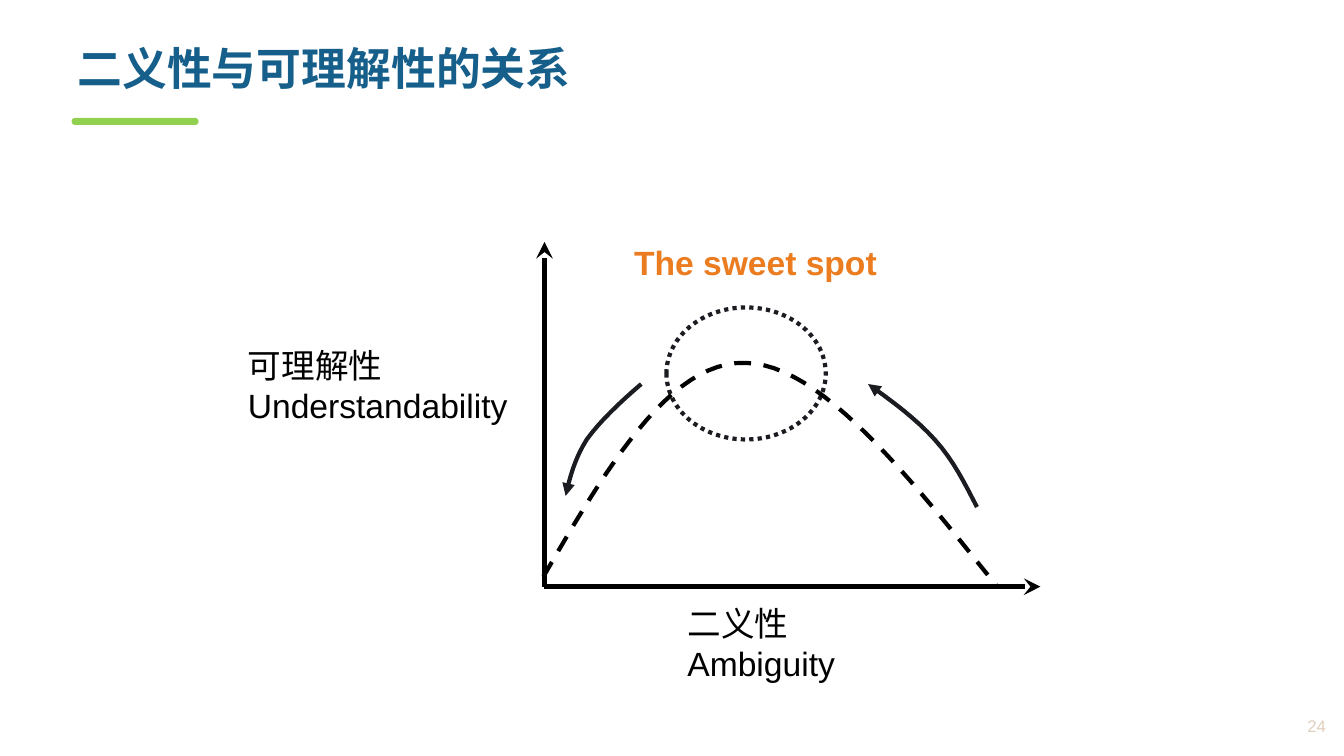
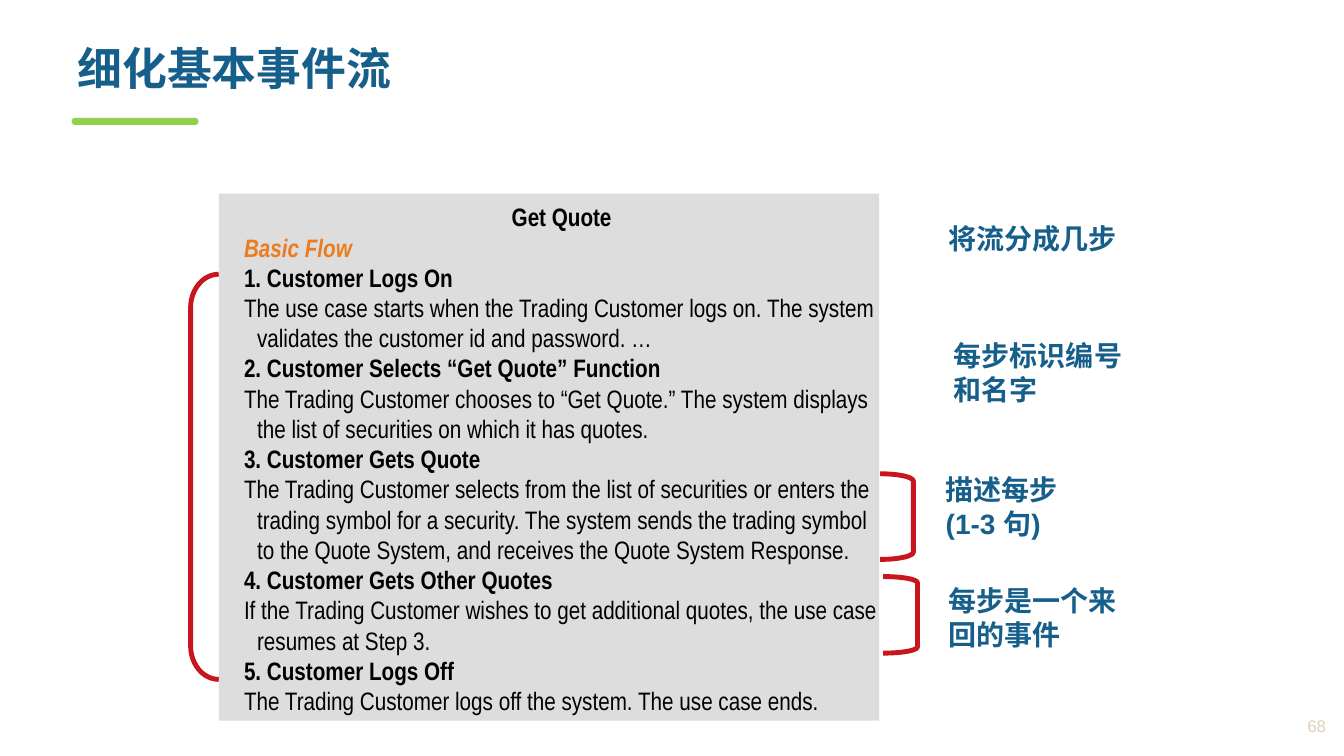
import pptx
import pptx.dml.color
import pptx.enum.dml
import pptx.enum.lang
import pptx.enum.shapes
import pptx.enum.text
import pptx.oxml
import pptx.oxml.ns
import pptx.util

Inches = pptx.util.Inches
Pt = pptx.util.Pt
SHAPE = pptx.enum.shapes.MSO_SHAPE
DASH = pptx.enum.dml.MSO_LINE
ALIGN = pptx.enum.text.PP_ALIGN
ANCHOR = pptx.enum.text.MSO_ANCHOR
CHINESE = pptx.enum.lang.MSO_LANGUAGE_ID.SIMPLIFIED_CHINESE

BLUE, GREEN, ORANGE, RED = "175F8B", "92D050", "EB7C1F", "C8161E"
BLACK, INK, PANEL, PAGE = "000000", "1B1C21", "DDDDDD", "E0CFBD"


def color(value):
    return pptx.dml.color.RGBColor.from_string(value)


def apply(target, values):
    for name, value in values.items():
        setattr(target, name, value)


def bezier(start, *curves, steps=24):
    points = [start]
    for first, second, end in curves:
        origin = points[-1]
        for step in range(1, steps + 1):
            t = step / steps
            weights = ((1 - t) ** 3, 3 * t * (1 - t) ** 2, 3 * t * t * (1 - t), t ** 3)
            controls = (origin, first, second, end)
            points.append(tuple(sum(w * c[axis] for w, c in zip(weights, controls))
                                for axis in (0, 1)))
    return points


class Deck:
    """Holds the shared style and the slide being built."""

    styles = {
        "title": ({"name": "Noto Sans CJK SC", "size": Pt(32), "bold": True}, BLUE),
        "axis": ({"name": "Arial", "size": Pt(24)}, BLACK),
        "highlight": ({"name": "Arial", "size": Pt(24), "bold": True}, ORANGE),
        "note": ({"name": "Arial", "size": Pt(20), "bold": True}, BLUE),
        "page": ({"name": "Arial", "size": Pt(12)}, PAGE),
        "body": ({"name": "Arial Narrow", "size": Pt(18)}, BLACK),
        "heading": ({"name": "Arial Narrow", "size": Pt(18), "bold": True}, BLACK),
        "flow": ({"name": "Arial Narrow", "size": Pt(18), "bold": True, "italic": True}, ORANGE),
    }

    def __init__(self):
        self.show = pptx.Presentation()
        apply(self.show, {"slide_width": Inches(13.33), "slide_height": Inches(7.5)})
        self.slide = None

    def start(self, title, page):
        self.slide = self.show.slides.add_slide(self.show.slide_layouts[6])
        self.shape(SHAPE.ROUND_2_SAME_RECTANGLE, (0.71, 1.17, 1.26, 0.07),
                   fill=GREEN, adjustments=(0.5, 0.5))
        self.text((0.67, 0.41, 12.19, 0.75), [title], "title", paragraph={"line_spacing": 0.9})
        self.text((12.12, 7.01, 1.13, 0.38), [page], "page",
                  paragraph={"alignment": ALIGN.RIGHT}, anchor=ANCHOR.MIDDLE)

    def add_words(self, paragraph, words, style):
        run = paragraph.add_run()
        run.text = words
        values, shade = self.styles[style]
        apply(run.font, values)
        run.font.language_id = CHINESE
        run.font.color.rgb = color(shade)

    def text(self, box, lines, style, inset=(0.1, 0.05), paragraph=None, anchor=ANCHOR.TOP):
        frame = self.slide.shapes.add_textbox(*map(Inches, box)).text_frame
        across, down = map(Inches, inset)
        apply(frame, {"word_wrap": True, "vertical_anchor": anchor,
                      "margin_left": across, "margin_right": across,
                      "margin_top": down, "margin_bottom": down})
        for index, words in enumerate(lines):
            line = frame.add_paragraph() if index else frame.paragraphs[0]
            apply(line, paragraph or {})
            self.add_words(line, words, style)

    def outline(self, line, shade, width, dash=None, arrow=None):
        line.color.rgb = color(shade)
        apply(line, {"width": Pt(width), "dash_style": dash})
        if arrow:
            end = pptx.oxml.parse_xml(
                f'<a:tailEnd {pptx.oxml.ns.nsdecls("a")} type="{arrow}"/>')
            line._get_or_add_ln().append(end)

    def shape(self, kind, box, fill=None, stroke=None, adjustments=()):
        form = self.slide.shapes.add_shape(kind, *map(Inches, box))
        for index, value in enumerate(adjustments):
            form.adjustments[index] = value
        return self.finish(form, fill, stroke)

    def finish(self, form, fill, stroke):
        form.shadow.inherit = False
        if fill:
            form.fill.solid()
            form.fill.fore_color.rgb = color(fill)
        else:
            form.fill.background()
        if stroke:
            self.outline(form.line, **stroke)
        else:
            form.line.fill.background()
        return form

    def arrow(self, start, end, stroke):
        straight = pptx.enum.shapes.MSO_CONNECTOR.STRAIGHT
        axis = self.slide.shapes.add_connector(straight, *map(Inches, start + end))
        self.outline(axis.line, **stroke)
        axis._element.spPr.append(
            pptx.oxml.parse_xml(f'<a:effectLst {pptx.oxml.ns.nsdecls("a")}/>'))

    def curve(self, points, stroke):
        first, *rest = [tuple(map(Inches, point)) for point in points]
        builder = self.slide.shapes.build_freeform(*first)
        builder.add_line_segments(rest, close=False)
        self.finish(builder.convert_to_shape(), None, stroke)

    def panel(self, box, entries):
        frame = self.shape(SHAPE.RECTANGLE, box, fill=PANEL).text_frame
        apply(frame, {"word_wrap": True, "vertical_anchor": ANCHOR.TOP,
                      "margin_left": 0, "margin_right": 0,
                      "margin_top": Inches(0.08), "margin_bottom": Inches(0.04)})
        for index, (words, style, alignment) in enumerate(entries):
            line = frame.add_paragraph() if index else frame.paragraphs[0]
            line.alignment = alignment
            hanging = line._p.get_or_add_pPr()
            hanging.set("marL", str(Inches(0.38)))
            hanging.set("indent", str(Inches(-0.13)))
            self.add_words(line, words, style)


def ambiguity(deck):
    deck.start("二义性与可理解性的关系", "24")
    origin = (5.4, 5.82)
    for tip in ((10.32, 5.82), (5.4, 2.4)):
        deck.arrow(origin, tip, {"shade": BLACK, "width": 4, "arrow": "stealth"})
    deck.text((2.36, 3.37, 2.9, 0.91), ["可理解性", "Understandability"], "axis")
    deck.text((6.72, 5.93, 1.8, 0.9), ["二义性", "Ambiguity"], "axis")
    deck.text((6.19, 2.35, 2.85, 0.51), ["The sweet spot"], "highlight")
    deck.shape(SHAPE.OVAL, (6.61, 3.05, 1.58, 1.31),
               stroke={"shade": INK, "width": 3, "dash": DASH.ROUND_DOT})
    deck.curve(bezier((5.39, 5.72), ((6.01, 4.65), (6.64, 3.58), (7.39, 3.6)),
                      ((8.14, 3.61), (9.01, 4.72), (9.89, 5.82))),
               {"shade": BLACK, "width": 3, "dash": DASH.DASH})
    trends = (
        bezier((9.69, 5.03), ((9.57, 4.8), (9.46, 4.57), (9.27, 4.36)),
               ((9.09, 4.16), (8.85, 3.98), (8.61, 3.81)), steps=8),
        bezier((6.36, 3.81), ((6.15, 3.99), (5.95, 4.18), (5.82, 4.36)),
               ((5.7, 4.55), (5.65, 4.74), (5.61, 4.92)), steps=8),
    )
    for trend in trends:
        deck.curve(trend, {"shade": INK, "width": 3, "arrow": "triangle"})


def basic_flow(deck):
    deck.start("细化基本事件流", "68")
    notes = (
        (9.29, 2.14, ["将流分成几步"]),
        (9.34, 3.3, ["每步标识编号", "和名字"]),
        (9.26, 4.63, ["描述每步", "(1-3 句)"]),
        (9.29, 5.73, ["每步是一个来", "回的事件"]),
    )
    for left, top, lines in notes:
        deck.text((left, top, 2.24, 0.12 + 0.33 * len(lines)), lines, "note", inset=(0.12, 0.06))
    steps = (
        ("Customer Logs On",
         "The use case starts when the Trading Customer logs on. "
         "The system validates the customer id and password. …"),
        ("Customer Selects “Get Quote” Function",
         "The Trading Customer chooses to “Get Quote.” "
         "The system displays the list of securities on which it has quotes."),
        ("Customer Gets Quote",
         "The Trading Customer selects from the list of securities or enters the trading symbol "
         "for a security. The system sends the trading symbol to the Quote System, "
         "and receives the Quote System Response."),
        ("Customer Gets Other Quotes",
         "If the Trading Customer wishes to get additional quotes, "
         "the use case resumes at Step 3."),
        ("Customer Logs Off",
         "The Trading Customer logs off the system. The use case ends."),
    )
    entries = [("Get Quote", "heading", ALIGN.CENTER), ("Basic Flow", "flow", ALIGN.LEFT)]
    for number, (name, description) in enumerate(steps, 1):
        entries += [(f"{number}. {name}", "heading", ALIGN.LEFT),
                    (description, "body", ALIGN.LEFT)]
    brackets = (
        (SHAPE.LEFT_BRACKET, (1.89, 2.72, 0.28, 4.02), 1.19),
        (SHAPE.RIGHT_BRACKET, (8.73, 4.7, 0.33, 0.85), 0.22),
        (SHAPE.RIGHT_BRACKET, (8.76, 5.72, 0.34, 0.76), 0.18),
    )
    for side, box, rounding in brackets:
        deck.shape(side, box, stroke={"shade": RED, "width": 3.5}, adjustments=(rounding,))
    deck.panel((2.17, 1.92, 6.55, 5.23), entries)


def main():
    deck = Deck()
    ambiguity(deck)
    basic_flow(deck)
    deck.show.save("out.pptx")


if __name__ == "__main__":
    main()
